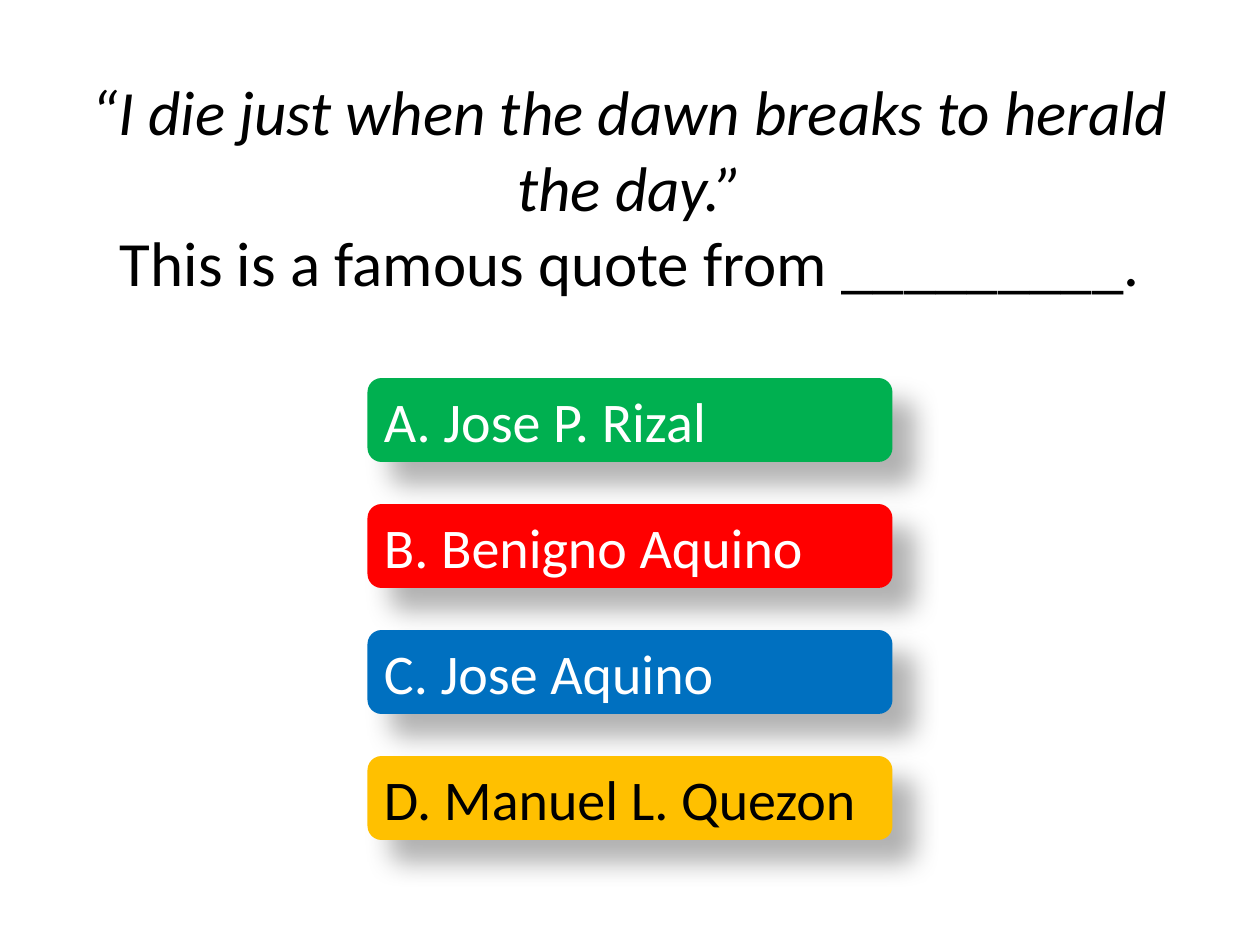
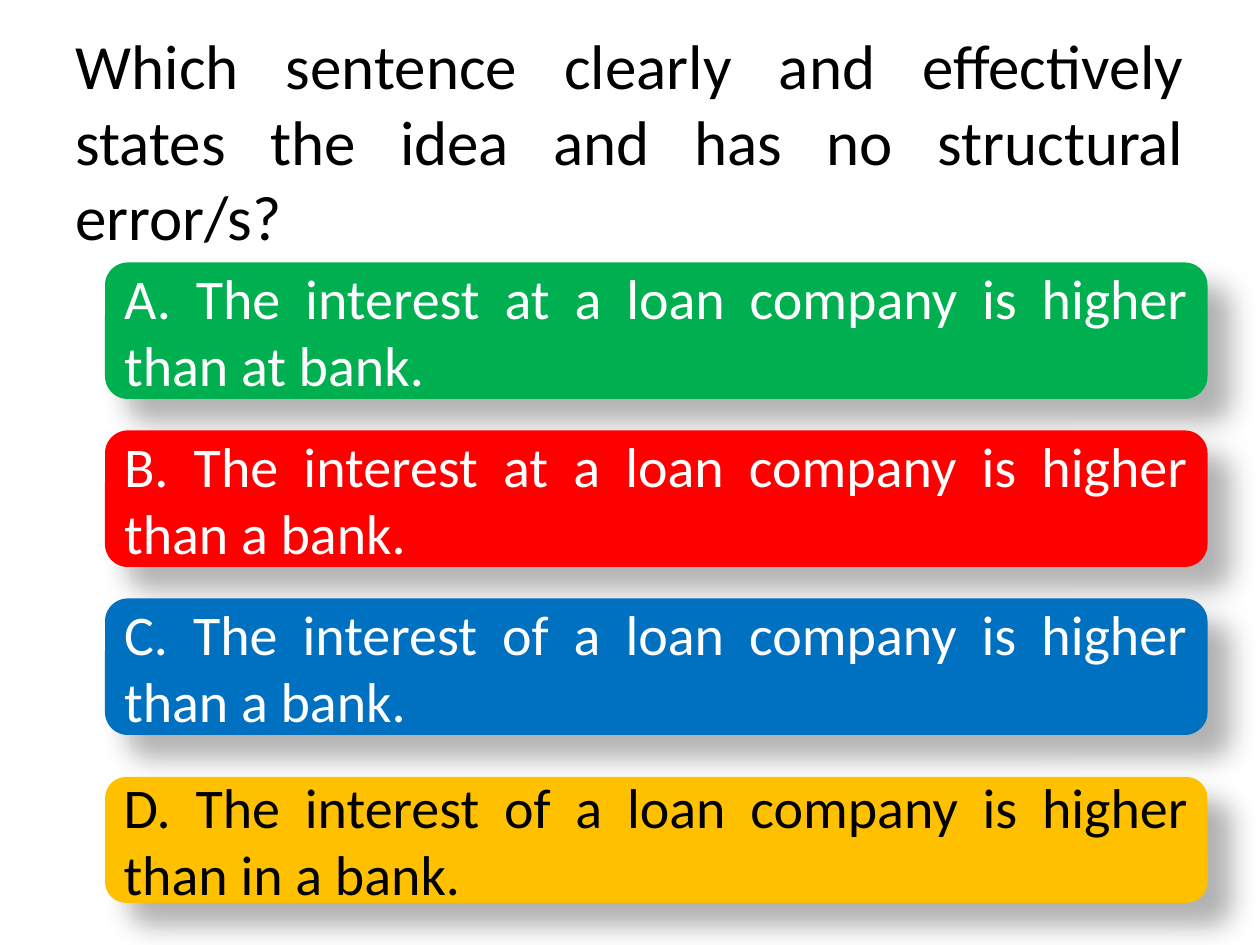
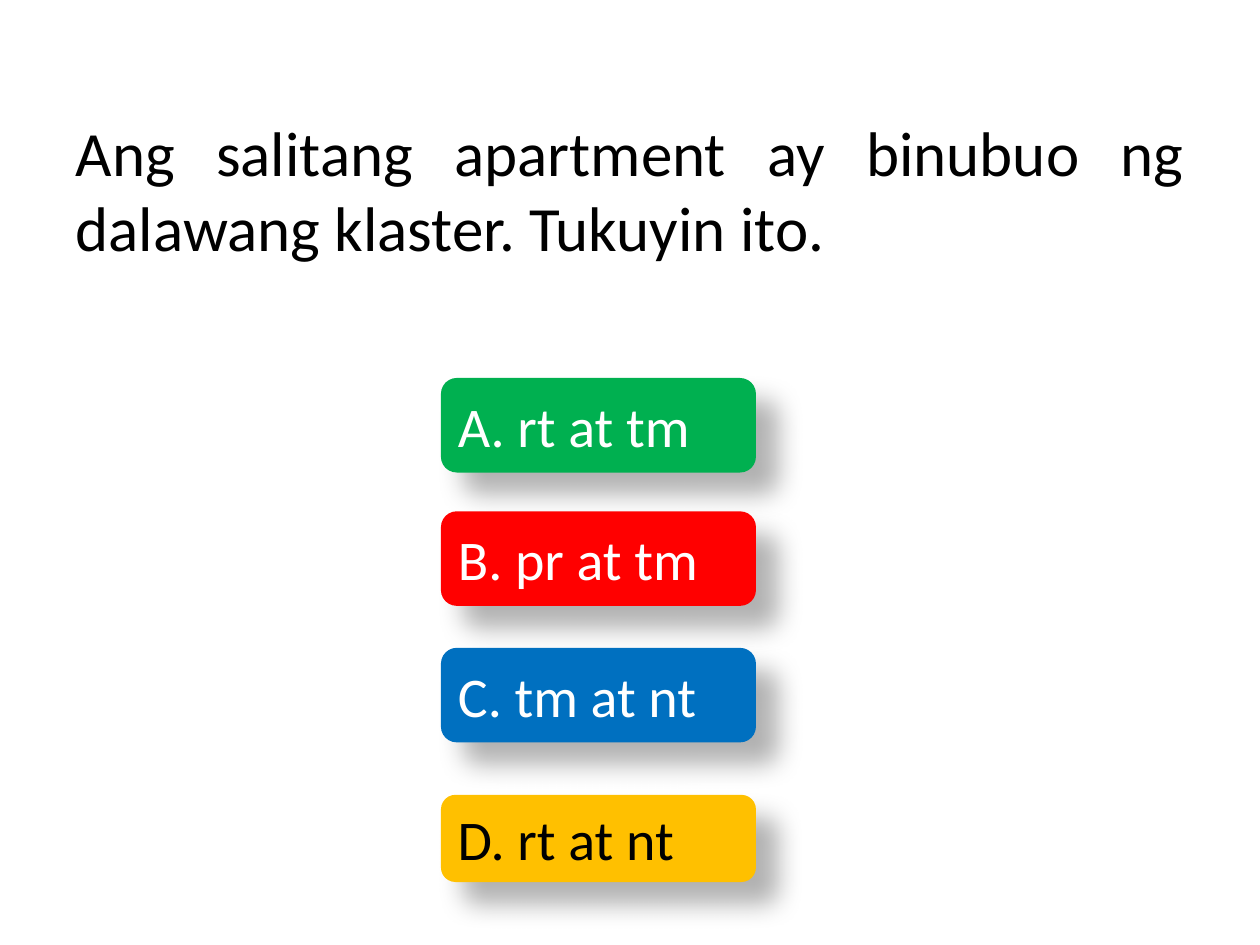
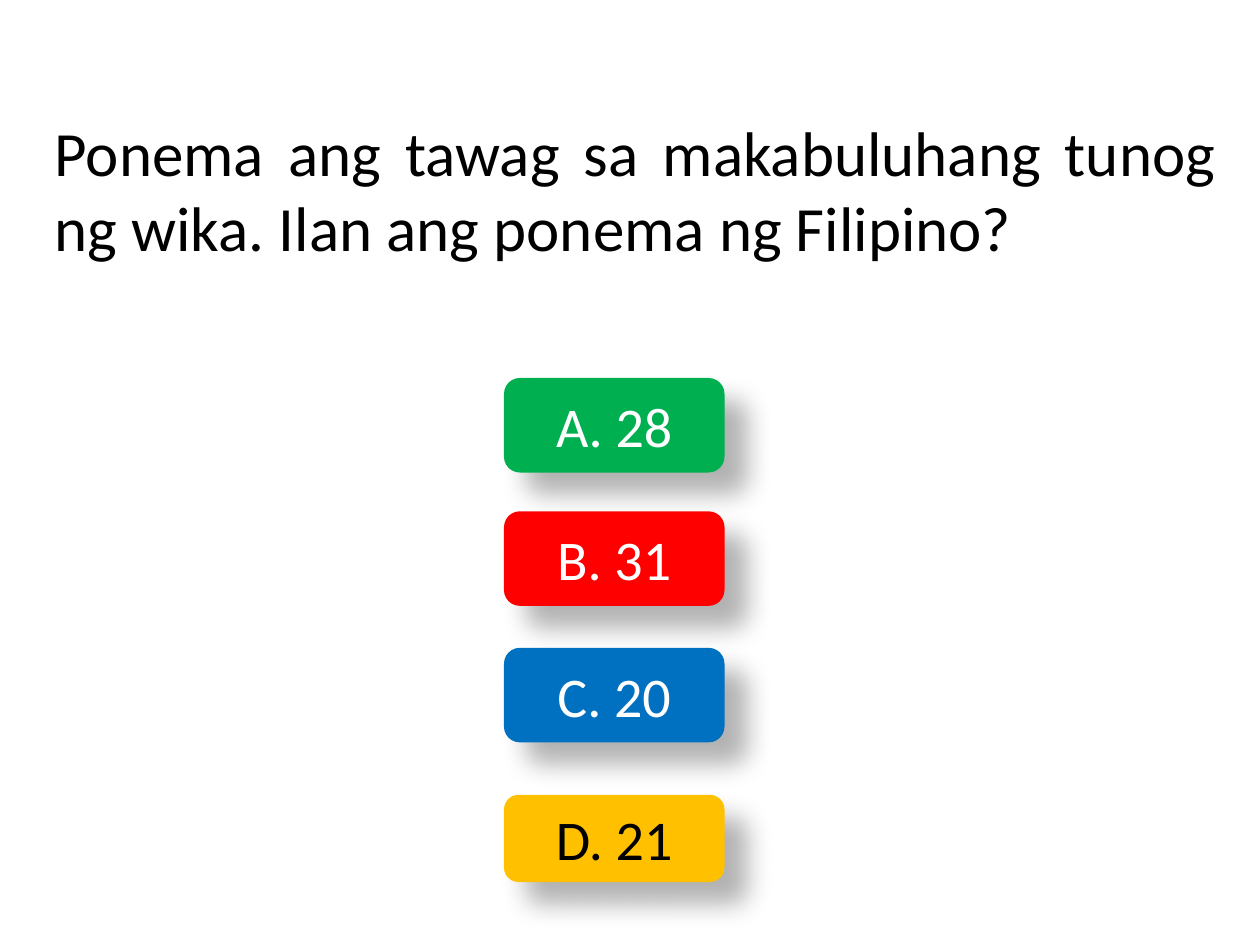
"""Build four multiple-choice quiz slides."""
from dataclasses import dataclass

from lxml import etree
from pptx import Presentation
from pptx import util as u
from pptx.dml.color import RGBColor
from pptx.enum import shapes, text
from pptx.oxml import ns

PX = 7620
TITLE_ONLY = 5


@dataclass(frozen=True)
class Theme:
    """Colours, font, type sizes and shadow shared by all slides."""
    font: str = "Calibri"
    question_size: int = 36
    answer_size: int = 32
    ink: str = "000000"
    paper: str = "FFFFFF"
    answer_styles: tuple = (("00B050", "FFFFFF"), ("FF0000", "FFFFFF"),
                            ("0070C0", "FFFFFF"), ("FFC000", "000000"))
    shadow_blur: int = 15
    shadow_distance: int = 18
    shadow_angle: int = 45
    shadow_opacity: int = 30


THEME = Theme()
CENTER = text.PP_ALIGN.CENTER
JUSTIFY = text.PP_ALIGN.JUSTIFY

SHORT_ROWS = ((360, 90), (487, 90), (617, 90), (757, 83))
QUIZ = (
    dict(question=(("“I die just when the dawn breaks to herald the day.”", True),
                   ("This is a famous quote from _________.", False)),
         question_box=(60, 50, 1080, 254), question_align=CENTER,
         answers=("A. Jose P. Rizal", "B. Benigno Aquino",
                  "C. Jose Aquino", "D. Manuel L. Quezon"),
         column=(350, 500), rows=[(360 + 120 * i, 80) for i in range(4)]),
    dict(question=(("Which sentence clearly and effectively states the idea "
                    "and has no structural error/s?", False),),
         question_box=(60, 36, 1080, 195),
         answers=("A. The interest at a loan company is higher than at bank.",
                  "B. The interest at a loan company is higher than a bank.",
                  "C. The interest of a loan company is higher than a bank.",
                  "D. The interest of a loan company is higher than in a bank."),
         column=(100, 1050),
         rows=((250, 130), (410, 130), (570, 130), (740, 120))),
    dict(question=(("Ang salitang apartment ay binubuo ng dalawang klaster. "
                    "Tukuyin ito.", False),),
         question_box=(60, 50, 1080, 260),
         answers=("A. rt at tm", "B. pr at tm", "C. tm at nt", "D. rt at nt"),
         column=(420, 300), rows=SHORT_ROWS),
    dict(question=(("Ponema ang tawag sa makabuluhang tunog ng wika. "
                    "Ilan ang ponema ng Filipino?", False),),
         question_box=(40, 50, 1130, 260),
         answers=("A. 28", "B. 31", "C. 20", "D. 21"),
         column=(480, 210), rows=SHORT_ROWS, answer_align=CENTER),
)


def px(*lengths):
    """Turn pixel lengths into EMU."""
    return [u.Emu(length * PX) for length in lengths]


def write(frame, lines, *, size, color, align):
    """Write (wording, italic) lines as one paragraph with line breaks."""
    frame.word_wrap = True
    frame.auto_size = text.MSO_AUTO_SIZE.NONE
    frame.vertical_anchor = text.MSO_ANCHOR.MIDDLE
    paragraph = frame.paragraphs[0]
    paragraph.alignment = align
    for index, (wording, italic) in enumerate(lines):
        if index:
            paragraph.add_line_break()
        run = paragraph.add_run()
        run.text = wording
        run.font.name = THEME.font
        run.font.size = u.Pt(size)
        run.font.italic = italic
        run.font.color.rgb = RGBColor.from_string(color)


def cast_shadow(button):
    """Give a button the soft shadow of the theme."""
    button.shadow.inherit = False
    effects = button._element.spPr.find(ns.qn("a:effectLst"))
    outer = etree.SubElement(
        effects, ns.qn("a:outerShdw"), blurRad=str(u.Pt(THEME.shadow_blur)),
        dist=str(u.Pt(THEME.shadow_distance)),
        dir=str(THEME.shadow_angle * 60000), algn="tl", rotWithShape="0")
    tint = etree.SubElement(outer, ns.qn("a:srgbClr"), val=THEME.ink)
    etree.SubElement(tint, ns.qn("a:alpha"), val=str(THEME.shadow_opacity * 1000))


def add_question(slide, box, lines, align):
    """Place the question in the title placeholder."""
    title = slide.shapes.title
    title.left, title.top, title.width, title.height = px(*box)
    write(title.text_frame, lines, size=THEME.question_size,
          color=THEME.ink, align=align)


def add_answer(slide, box, wording, style, align):
    """Place one answer button in its box."""
    fill, ink = style
    button = slide.shapes.add_shape(shapes.MSO_SHAPE.ROUNDED_RECTANGLE, *px(*box))
    button.fill.solid()
    button.fill.fore_color.rgb = RGBColor.from_string(fill)
    button.line.fill.background()
    cast_shadow(button)
    write(button.text_frame, [(wording, False)], size=THEME.answer_size,
          color=ink, align=align)


def add_quiz_slide(deck, *, question, question_box, answers, column, rows,
                   question_align=JUSTIFY, answer_align=JUSTIFY):
    """Add a slide with a question and its column of answers."""
    slide = deck.slides.add_slide(deck.slide_layouts[TITLE_ONLY])
    slide.background.fill.solid()
    slide.background.fill.fore_color.rgb = RGBColor.from_string(THEME.paper)
    add_question(slide, question_box, question, question_align)
    left, width = column
    for wording, (top, height), style in zip(answers, rows, THEME.answer_styles):
        add_answer(slide, (left, top, width, height), wording, style, answer_align)


def main():
    """Build and save the quiz."""
    deck = Presentation()
    deck.slide_width, deck.slide_height = px(1200, 900)
    for item in QUIZ:
        add_quiz_slide(deck, **item)
    deck.save("out.pptx")


if __name__ == "__main__":
    main()
